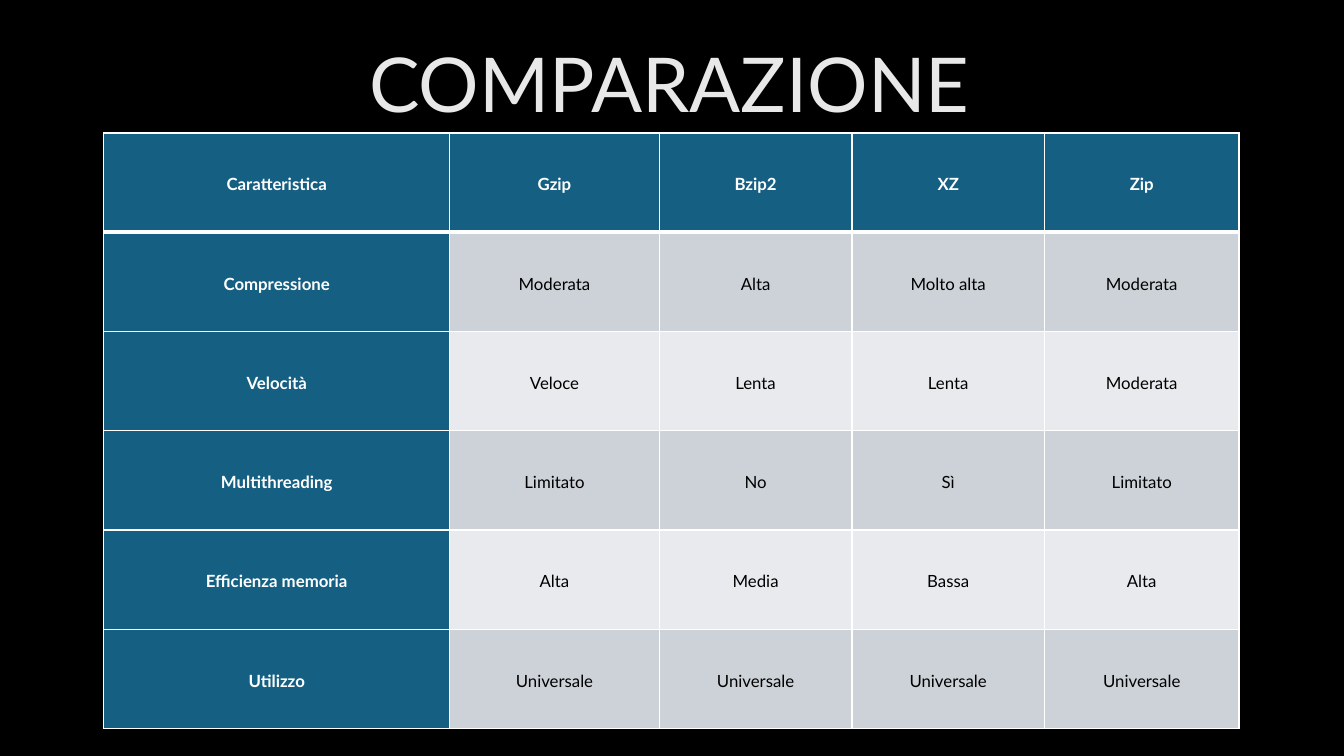
from lxml import etree
from pptx import Presentation, util as u
from pptx.dml.color import RGBColor
from pptx.enum import text
from pptx.oxml.ns import qn

COLORS = {
    "background": "000000",
    "title": "E8E8E8",
    "outline": "404040",
    "heading": "156082",
    "heading_text": "FFFFFF",
    "body_text": "000000",
    "band_dark": "CCD2D8",
    "band_light": "E8EAED",
    "border": "FFFFFF",
}
FONT = "Lato"
TITLE_BOX = (1.48, -0.67, 10.32, 2)
TABLE_BOX = (1.03, 1.32, 11.26, 5.91)
COLUMN_SHARES = (3.43, 2.08, 1.91, 1.91, 1.93)
COMPARISON = (
    ("Caratteristica", "Gzip", "Bzip2", "XZ", "Zip"),
    ("Compressione", "Moderata", "Alta", "Molto alta", "Moderata"),
    ("Velocità", "Veloce", "Lenta", "Lenta", "Moderata"),
    ("Multithreading", "Limitato", "No", "Sì", "Limitato"),
    ("Efficienza memoria", "Alta", "Media", "Bassa", "Alta"),
    ("Utilizzo", "Universale", "Universale", "Universale", "Universale"),
)


def color(name):
    return RGBColor.from_string(COLORS[name])


def write(frame, words, *, size, ink, bold=False, spacing=1.0, after=0,
          anchor=text.MSO_ANCHOR.MIDDLE):
    """Fill a text frame or table cell with one centred paragraph."""
    frame.vertical_anchor = anchor
    paragraph = getattr(frame, "text_frame", frame).paragraphs[0]
    paragraph.alignment = text.PP_ALIGN.CENTER
    paragraph.line_spacing = spacing
    paragraph.space_after = u.Pt(after)
    run = paragraph.add_run()
    run.text = words
    run.font.name = FONT
    run.font.size = u.Pt(size)
    run.font.bold = bold
    run.font.color.rgb = color(ink)
    return run


def make_line(tag, ink, width, opacity=100):
    """Build a solid line element for a text outline or a cell edge."""
    line = etree.Element(qn(tag), w=str(u.Pt(width)))
    fill = etree.SubElement(line, qn("a:solidFill"))
    tint = etree.SubElement(fill, qn("a:srgbClr"), val=COLORS[ink])
    etree.SubElement(tint, qn("a:alpha"), val=str(opacity * 1000))
    etree.SubElement(line, qn("a:prstDash"), val="solid")
    return line


def add_title(slide, box):
    title = slide.shapes.title
    title.left, title.top, title.width, title.height = map(u.Inches, box)
    title.text_frame.word_wrap = True
    run = write(title.text_frame, "COMPARAZIONE", size=54, ink="title",
                spacing=0.9, anchor=text.MSO_ANCHOR.BOTTOM)
    run.font._element.insert(0, make_line("a:ln", "outline", 0.75, opacity=10))


def style_cell(cell, words, row, column):
    heading = row == 0 or column == 0
    cell.margin_left = cell.margin_right = u.Inches(0.01)
    cell.margin_top = cell.margin_bottom = u.Inches(0.01)
    write(cell, words, size=12, bold=heading, spacing=1.15, after=8,
          ink="heading_text" if heading else "body_text")

    # Edges: a thick rule separates the header from the body
    widths = {"L": 1, "R": 1, "T": 3 if row == 1 else 1, "B": 3 if row == 0 else 1}
    properties = cell._tc.get_or_add_tcPr()
    for place, (side, width) in enumerate(widths.items()):
        properties.insert(place, make_line(f"a:ln{side}", "border", width))

    # Fill: headings in blue, body rows in alternating bands
    band = "band_dark" if row % 2 else "band_light"
    cell.fill.solid()
    cell.fill.fore_color.rgb = color("heading" if heading else band)


def add_comparison(slide, box):
    left, top, width, height = map(u.Inches, box)
    table = slide.shapes.add_table(len(COMPARISON), len(COLUMN_SHARES),
                                   left, top, width, height).table
    table.first_col = True
    for column, share in zip(table.columns, COLUMN_SHARES):
        column.width = int(width * share / sum(COLUMN_SHARES))
    for row, entries in enumerate(COMPARISON):
        table.rows[row].height = height // len(COMPARISON)
        for column, words in enumerate(entries):
            style_cell(table.cell(row, column), words, row, column)


def main():
    deck = Presentation()
    deck.slide_width, deck.slide_height = u.Inches(13.33), u.Inches(7.5)
    slide = deck.slides.add_slide(deck.slide_layouts[0])
    slide.background.fill.solid()
    slide.background.fill.fore_color.rgb = color("background")

    # The subtitle stays unused
    subtitle = slide.placeholders[1].element
    subtitle.getparent().remove(subtitle)

    add_title(slide, TITLE_BOX)
    add_comparison(slide, TABLE_BOX)
    deck.save("out.pptx")


if __name__ == "__main__":
    main()
